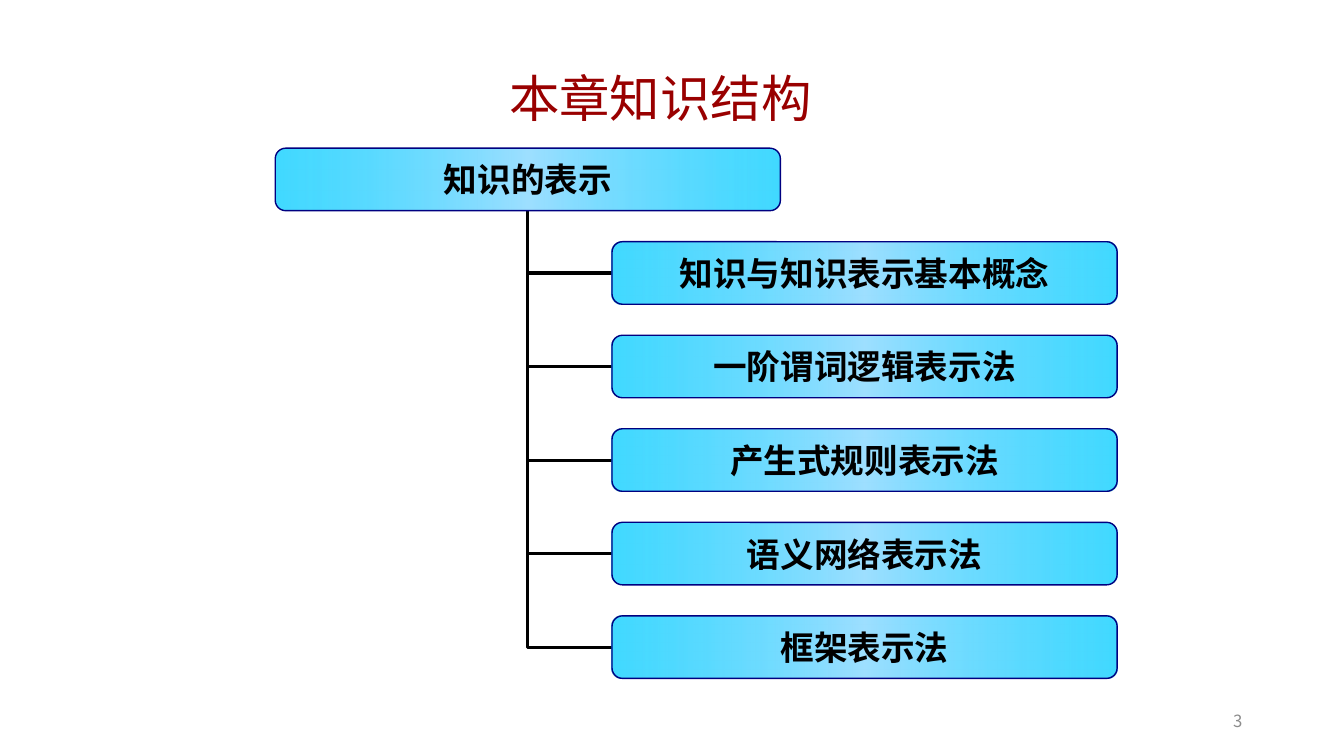
from copy import deepcopy

from lxml import etree
from pptx import Presentation
from pptx.dml.color import RGBColor
from pptx.enum.shapes import MSO_CONNECTOR, MSO_SHAPE
from pptx.enum.text import MSO_ANCHOR, PP_ALIGN
from pptx.oxml.ns import qn
from pptx.util import Inches, Pt

TITLE = "本章知识结构"
ROOT = "知识的表示"
TOPICS = [
    "知识与知识表示基本概念",
    "一阶谓词逻辑表示法",
    "产生式规则表示法",
    "语义网络表示法",
    "框架表示法",
]
PAGE_NUMBER = "3"

RED = RGBColor(0x99, 0x00, 0x00)
GREY = RGBColor(0x8C, 0x8C, 0x8C)
BLACK = RGBColor(0x00, 0x00, 0x00)
NAVY = RGBColor(0x00, 0x00, 0x80)
CYAN = RGBColor(0x00, 0xCC, 0xFF)
PALE = RGBColor(0x9E, 0xDF, 0xFF)
STOPS = [(0, CYAN, 74), (0.5, PALE, 100), (1, CYAN, 74)]

SANS = "Noto Sans CJK SC"
SERIF = "Times New Roman"
CENTER, RIGHT = PP_ALIGN.CENTER, PP_ALIGN.RIGHT
MIDDLE = MSO_ANCHOR.MIDDLE
ROUNDED = MSO_SHAPE.ROUNDED_RECTANGLE
ELBOW = MSO_CONNECTOR.ELBOW

BOX_WIDTH, BOX_HEIGHT = 5.01, 0.62
ROOT_LEFT, TOPIC_LEFT = 2.73, 6.07
FIRST_TOP, LAST_TOP = 1.47, 6.11
ROW = (LAST_TOP - FIRST_TOP) / len(TOPICS)
TRUNK = ROOT_LEFT + BOX_WIDTH / 2


def write(shape, text, size, color, font=SANS, align=CENTER, bold=False, wrap=True, spacing=None):
    frame = shape.text_frame
    frame.word_wrap = wrap
    frame.vertical_anchor = MIDDLE
    paragraph = frame.paragraphs[0]
    paragraph.alignment = align
    paragraph.line_spacing = spacing
    run = paragraph.add_run()
    run.text = text
    run.font.size = Pt(size)
    run.font.bold = bold
    run.font.color.rgb = color
    run.font.name = font
    etree.SubElement(run.font._element, qn("a:ea")).set("typeface", SANS)


def fill_gradient(shape):
    fill = shape.fill
    fill.gradient()
    fill.gradient_angle = 0
    first = fill._fill._gradFill.find(qn("a:gsLst"))[0]
    first.addnext(deepcopy(first))
    for stop, (position, color, opacity) in zip(fill.gradient_stops, STOPS):
        stop.position = position
        stop.color.rgb = color
        if opacity < 100:
            alpha = etree.SubElement(stop._gs.find(qn("a:srgbClr")), qn("a:alpha"))
            alpha.set("val", str(opacity * 1000))


def add_box(slide, text, left, top):
    shape = slide.shapes.add_shape(
        ROUNDED, Inches(left), Inches(top), Inches(BOX_WIDTH), Inches(BOX_HEIGHT))
    shape.shadow.inherit = False
    fill_gradient(shape)
    shape.line.color.rgb = NAVY
    shape.line.width = Pt(1)
    frame = shape.text_frame
    frame.margin_left = frame.margin_right = frame.margin_top = frame.margin_bottom = 0
    write(shape, text, 24, BLACK, font=SERIF, bold=True, wrap=False)


def add_branch(slide, middle):
    connector = slide.shapes.add_connector(
        ELBOW, Inches(TRUNK), Inches(FIRST_TOP + BOX_HEIGHT), Inches(TOPIC_LEFT), Inches(middle))
    connector.line.color.rgb = BLACK
    connector.line.width = Pt(2.25)
    properties = connector._element.spPr
    properties.find(qn("a:prstGeom")).set("prst", "bentConnector2")
    properties.find(qn("a:xfrm")).set("rot", str(180 * 60000))
    etree.SubElement(properties, qn("a:effectLst"))


def main():
    presentation = Presentation()
    presentation.slide_width = Inches(13.33)
    presentation.slide_height = Inches(7.5)
    slide = presentation.slides.add_slide(presentation.slide_layouts[5])

    title = slide.shapes.title
    title.left, title.top, title.width, title.height = map(Inches, (2.05, 0.65, 9, 0.71))
    write(title, TITLE, 36, RED, spacing=0.9)

    topic_tops = [FIRST_TOP + ROW * row for row in range(1, len(TOPICS) + 1)]
    for top in topic_tops:
        add_branch(slide, top + BOX_HEIGHT / 2)
    add_box(slide, ROOT, ROOT_LEFT, FIRST_TOP)
    for topic, top in zip(TOPICS, topic_tops):
        add_box(slide, topic, TOPIC_LEFT, top)

    number = slide.shapes.add_textbox(*map(Inches, (9.42, 6.95, 3, 0.4)))
    write(number, PAGE_NUMBER, 12, GREY, align=RIGHT)

    presentation.save("out.pptx")


if __name__ == "__main__":
    main()
